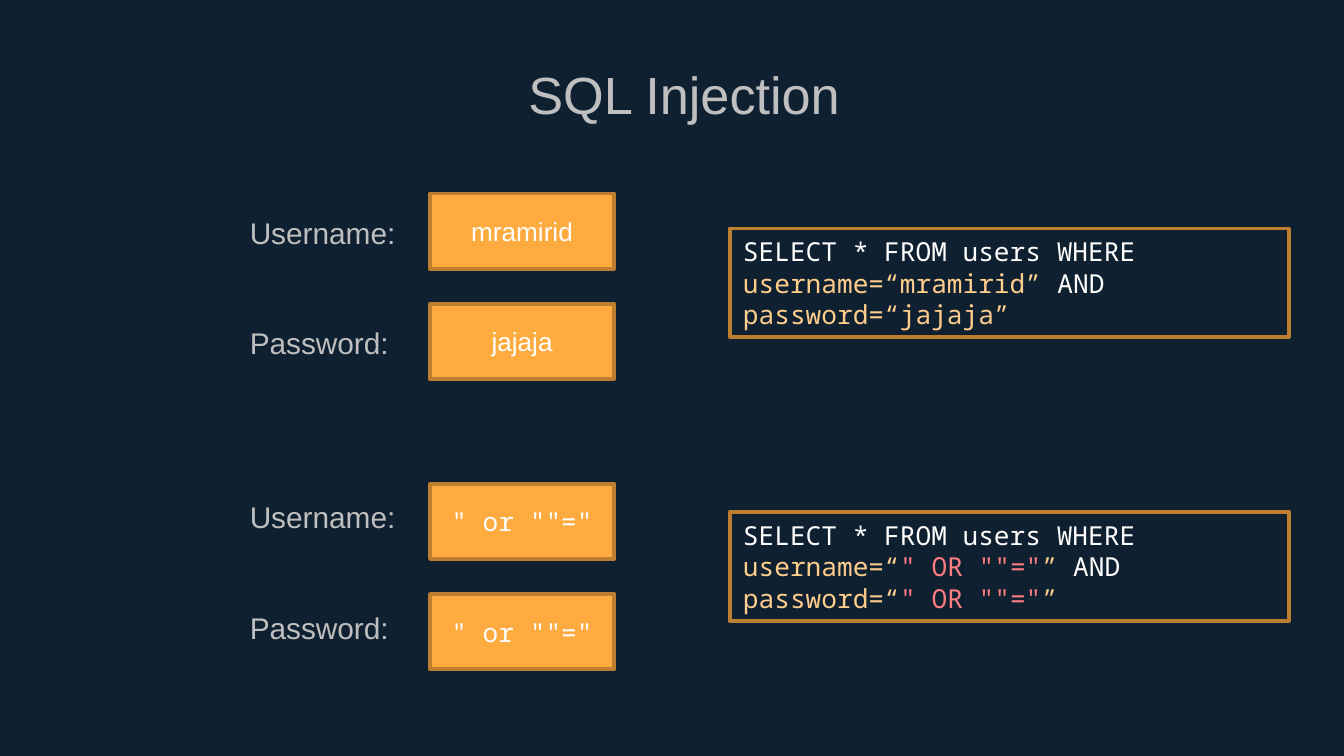
from dataclasses import dataclass

from pptx import Presentation
from pptx.dml.color import RGBColor
from pptx.enum.shapes import MSO_SHAPE
from pptx.enum.text import MSO_ANCHOR, PP_ALIGN
from pptx.util import Inches, Pt

RECT = MSO_SHAPE.RECTANGLE
TOP, MIDDLE, BOTTOM = MSO_ANCHOR.TOP, MSO_ANCHOR.MIDDLE, MSO_ANCHOR.BOTTOM
LEFT, CENTER = PP_ALIGN.LEFT, PP_ALIGN.CENTER


@dataclass(frozen=True)
class Theme:
    back: str = "0F2030"
    grey: str = "BFBFBF"
    white: str = "FFFFFF"
    field: str = "FFAB40"
    edge: str = "BD7F2F"
    query: str = "FFCD8C"
    attack: str = "FF7C80"
    sans: str = "Arial"
    mono: str = "Noto Sans Mono"
    title: int = 28
    label: int = 16
    body: int = 14
    stroke: int = 2


THEME = Theme()


def color(code):
    return RGBColor.from_string(code)


def apply(target, values):
    for name, value in values.items():
        setattr(target, name, value)


def write(shape, runs, font, size, align=LEFT, **frame):
    """Fill a shape with one paragraph of (text, colour) runs."""
    text = shape.text_frame
    apply(text, {"word_wrap": True, **frame})
    line = text.paragraphs[0]
    line.alignment = align
    for words, tint in runs:
        run = line.add_run()
        run.text = words
        apply(run.font, {"name": font, "size": Pt(size)})
        run.font.color.rgb = color(tint)


def add_text(slide, box, words, size, align, anchor):
    shape = slide.shapes.add_textbox(*map(Inches, box))
    sides = ("left", "right", "top", "bottom")
    inset = {f"margin_{side}": Inches(0.1) for side in sides}
    write(shape, [(words, THEME.grey)], THEME.sans, size, align,
          vertical_anchor=anchor, **inset)


def add_box(slide, box, runs, font, align, fill=None):
    shape = slide.shapes.add_shape(RECT, *map(Inches, box))
    shape.shadow.inherit = False
    if fill:
        shape.fill.solid()
        shape.fill.fore_color.rgb = color(fill)
    else:
        shape.fill.background()
    shape.line.color.rgb = color(THEME.edge)
    shape.line.width = Pt(THEME.stroke)
    write(shape, runs, font, THEME.body, align, vertical_anchor=MIDDLE)


def add_login(slide, field_top, label_top, entries, font):
    """Draw the username and password rows of one login form."""
    rows = zip(("Username:", "Password:"), (1.58, 1.31), entries)
    for row, (label, width, entry) in enumerate(rows):
        step = row * 0.82
        add_text(slide, (1.76, label_top + step, width, 0.49), label,
                 THEME.label, LEFT, BOTTOM)
        add_box(slide, (3.2, field_top + step, 1.37, 0.56),
                [(entry, THEME.white)], font, CENTER, THEME.field)


def add_query(slide, top, name, key):
    """Draw the query; name and key are the runs of the two conditions."""
    runs = [("SELECT * FROM users WHERE ", THEME.white), *name,
            (" AND ", THEME.white), *key]
    add_box(slide, (5.43, top, 4.16, 0.81), runs, THEME.mono, LEFT)


def inject(field):
    return [(f"{field}=“", THEME.query), ('" OR ""="', THEME.attack),
            ("”", THEME.query)]


def main():
    # Wide 16:9 slide
    deck = Presentation()
    deck.slide_width = Inches(10)
    deck.slide_height = Inches(10 * 9 / 16)
    slide = deck.slides.add_slide(deck.slide_layouts[6])
    slide.background.fill.solid()
    slide.background.fill.fore_color.rgb = color(THEME.back)

    # Title
    add_text(slide, (0.84, 0.36, 8.5, 0.63), "SQL Injection",
             THEME.title, CENTER, TOP)

    # Normal login
    add_login(slide, 1.44, 1.47, ("mramirid", "jajaja"), THEME.sans)
    add_query(slide, 1.7, [("username=“mramirid”", THEME.query)],
              [("password=“jajaja”", THEME.query)])

    # Injected login
    add_login(slide, 3.6, 3.59, ('" or ""="',) * 2, THEME.mono)
    add_query(slide, 3.81, inject("username"), inject("password"))

    deck.save("out.pptx")


if __name__ == "__main__":
    main()
